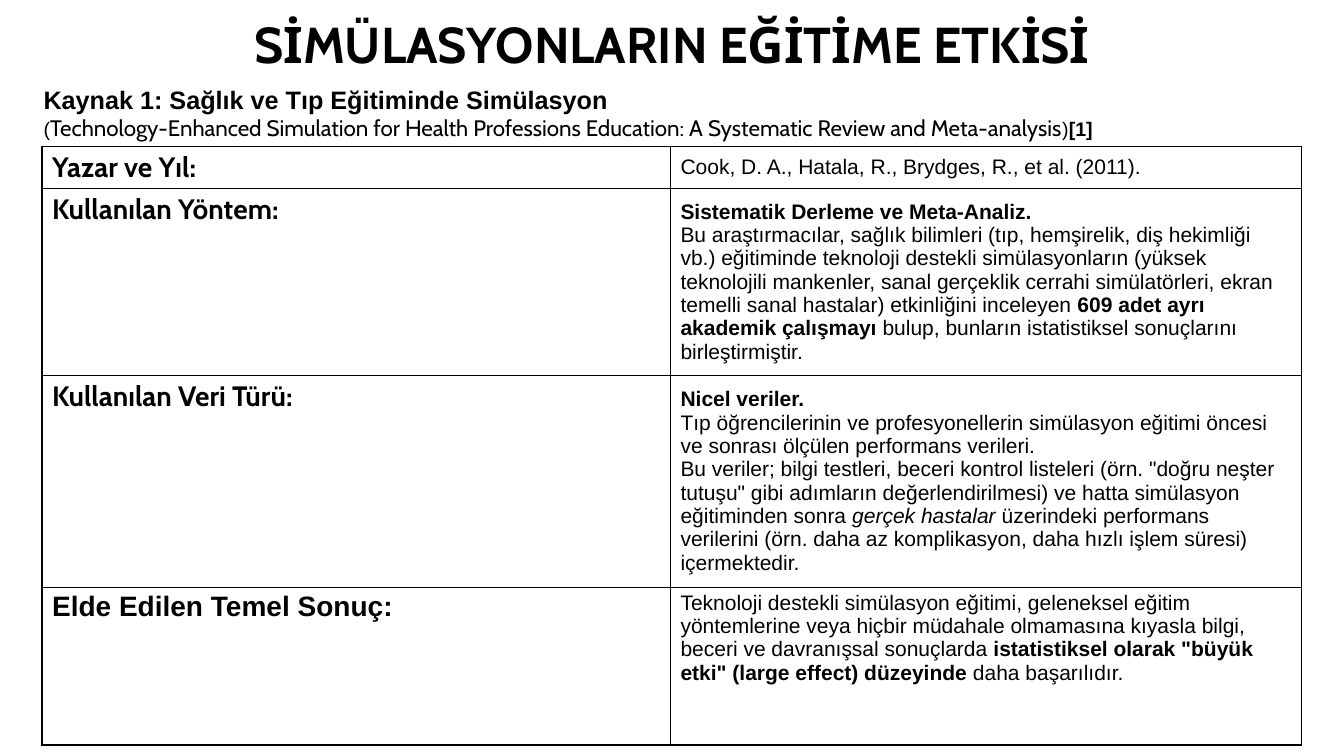
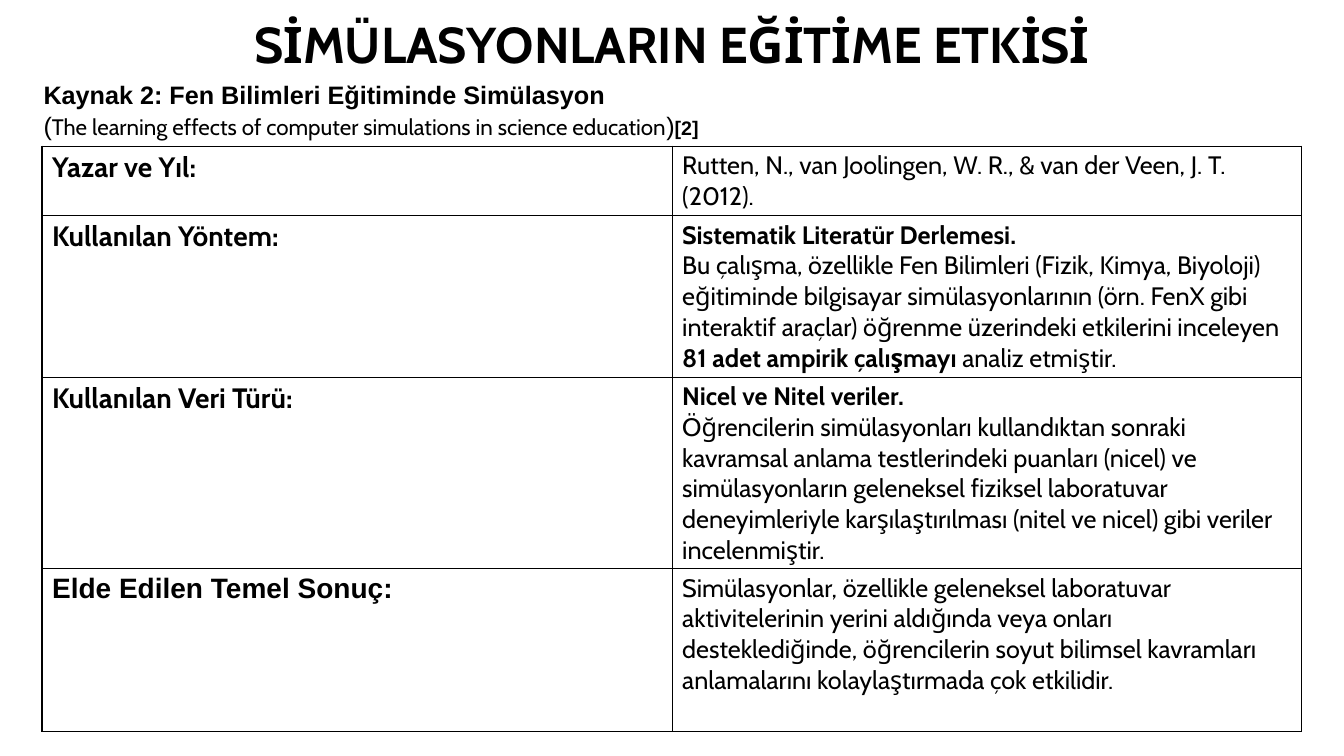
from lxml.etree import SubElement
from pptx import Presentation
from pptx.dml.color import RGBColor
from pptx.enum.text import MSO_ANCHOR, PP_ALIGN
from pptx.oxml.ns import qn
from pptx.util import Inches, Pt

# Shared look: the slide is a grid of 160 columns by 90 rows
deck = Presentation()
deck.slide_width, deck.slide_height = Inches(13.33), Inches(7.5)
unit = deck.slide_height / 90
hues = {"ink": "000000"}
title = "SİMÜLASYONLARIN EĞİTİME ETKİSİ"

looks = {
    "title": {"name": "Cabin", "size": Pt(36), "bold": True},
    "head": {"name": "Arial", "size": Pt(18), "bold": True},
    "paren": {"name": "Arial", "size": Pt(14), "bold": False},
    "wide": {"name": "Arial", "size": Pt(18), "bold": False},
    "paper": {"name": "Cabin", "size": Pt(16), "bold": False},
    "cite": {"name": "Arial", "size": Pt(14), "bold": True},
    "label": {"name": "Cabin", "size": Pt(20), "bold": True},
    "last": {"name": "Arial", "size": Pt(20), "bold": True},
    "small": {"name": "Arial", "size": Pt(15), "bold": False},
    "big": {"name": "Cabin", "size": Pt(18), "bold": False},
}
for look in ("small", "big"):
    looks[look + " bold"] = looks[look] | {"bold": True}
    looks[look + " slant"] = looks[look] | {"italic": True}

labels = [
    ("Yazar ve Yıl:", "label"),
    ("Kullanılan Yöntem:", "label"),
    ("Kullanılan Veri Türü:", "label"),
    ("Elde Edilen Temel Sonuç:", "last"),
]

# Each cell is a list of paragraphs, each paragraph a list of (text, look)
pages = [
    {
        "top": 9.4,
        "cols": [74.8, 75.1],
        "rows": [5, 22.3, 25.2, 18.8],
        "lead": [
            [("Kaynak 1: Sağlık ve Tıp Eğitiminde Simülasyon", "head")],
            [("(", "paren"),
             ("Technology-Enhanced Simulation for Health Professions Education: "
              "A Systematic Review and Meta-analysis", "paper"),
             (")", "paren"), ("[1]", "cite")],
        ],
        "cells": [
            [[("Cook, D. A., Hatala, R., Brydges, R., et al. (2011).", "small")]],
            [[("Sistematik Derleme ve Meta-Analiz.", "small bold")],
             [("Bu araştırmacılar, sağlık bilimleri (tıp, hemşirelik, diş hekimliği vb.) "
               "eğitiminde teknoloji destekli simülasyonların (yüksek teknolojili mankenler, "
               "sanal gerçeklik cerrahi simülatörleri, ekran temelli sanal hastalar) "
               "etkinliğini inceleyen ", "small"),
              ("609 adet ayrı akademik çalışmayı", "small bold"),
              (" bulup, bunların istatistiksel sonuçlarını birleştirmiştir.", "small")]],
            [[("Nicel veriler.", "small bold")],
             [("Tıp öğrencilerinin ve profesyonellerin simülasyon eğitimi öncesi ve "
               "sonrası ölçülen performans verileri.", "small")],
             [("Bu veriler; bilgi testleri, beceri kontrol listeleri (örn. \"doğru neşter "
               "tutuşu\" gibi adımların değerlendirilmesi) ve hatta simülasyon "
               "eğitiminden sonra ", "small"),
              ("gerçek hastalar", "small slant"),
              (" üzerindeki performans verilerini (örn. daha az komplikasyon, daha hızlı "
               "işlem süresi) içermektedir.", "small")]],
            [[("Teknoloji destekli simülasyon eğitimi, geleneksel eğitim yöntemlerine veya "
               "hiçbir müdahale olmamasına kıyasla bilgi, beceri ve davranışsal "
               "sonuçlarda ", "small"),
              ("istatistiksel olarak \"büyük etki\" (large effect) düzeyinde", "small bold"),
              (" daha başarılıdır.", "small")]],
        ],
    },
    {
        "top": 8.9,
        "cols": [75, 74.9],
        "rows": [8.3, 19.2, 22.8, 19.4],
        "lead": [
            [("Kaynak 2: Fen Bilimleri Eğitiminde Simülasyon", "head")],
            [("(", "wide"),
             ("The learning effects of computer simulations in science education", "paper"),
             (")", "wide"), ("[2]", "cite")],
        ],
        "cells": [
            [[("Rutten, N., van Joolingen, W. R., & van der Veen, J. T. (2012).", "big")]],
            [[("Sistematik Literatür Derlemesi.", "big bold")],
             [("Bu çalışma, özellikle Fen Bilimleri (Fizik, Kimya, Biyoloji) eğitiminde "
               "bilgisayar simülasyonlarının (örn. FenX gibi interaktif araçlar) öğrenme "
               "üzerindeki etkilerini inceleyen ", "big"),
              ("81 adet ampirik çalışmayı", "big bold"),
              (" analiz etmiştir.", "big")]],
            [[("Nicel ve Nitel veriler.", "big bold")],
             [("Öğrencilerin simülasyonları kullandıktan sonraki kavramsal anlama "
               "testlerindeki puanları (nicel) ve simülasyonların geleneksel fiziksel "
               "laboratuvar deneyimleriyle karşılaştırılması (nitel ve nicel) gibi veriler "
               "incelenmiştir.", "big")]],
            [[("Simülasyonlar, özellikle geleneksel laboratuvar aktivitelerinin yerini "
               "aldığında veya onları desteklediğinde, öğrencilerin soyut bilimsel "
               "kavramları anlamalarını kolaylaştırmada çok etkilidir.", "big")]],
        ],
    },
]


def grid(*spans):
    return [round(span * unit) for span in spans]


def write(frame, paras):
    frame.word_wrap = True
    for i, parts in enumerate(paras):
        para = frame.paragraphs[0] if i == 0 else frame.add_paragraph()
        for text, look in parts:
            run = para.add_run()
            run.text = text
            run.font.color.rgb = RGBColor.from_string(hues["ink"])
            for key, value in looks[look].items():
                setattr(run.font, key, value)


for page in pages:
    slide = deck.slides.add_slide(deck.slide_layouts[5])

    # Title
    head = slide.shapes.title
    head.left, head.top, head.width, head.height = grid(11, 0, 138, 11.2)
    write(head.text_frame, [[(title, "title")]])
    head.text_frame.vertical_anchor = MSO_ANCHOR.MIDDLE
    line = head.text_frame.paragraphs[0]
    line.alignment, line.line_spacing = PP_ALIGN.CENTER, 0.9

    # Source heading, ending where the table starts
    box = slide.shapes.add_textbox(*grid(4, page["top"], 150, 17.4 - page["top"]))
    write(box.text_frame, page["lead"])

    # Table
    area = grid(5, 17.4, sum(page["cols"]), sum(page["rows"]))
    table = slide.shapes.add_table(len(labels), 2, *area).table
    table.first_row = table.horz_banding = False
    for col, span in zip(table.columns, grid(*page["cols"])):
        col.width = span
    for row, span in zip(table.rows, grid(*page["rows"])):
        row.height = span
    for i, (label, body) in enumerate(zip(labels, page["cells"])):
        for j, paras in enumerate(([[label]], body)):
            cell = table.cell(i, j)
            write(cell.text_frame, paras)
            cell.margin_top = cell.margin_bottom = Inches(0.04)
            centred = j == 1 and i < len(labels) - 1
            cell.vertical_anchor = MSO_ANCHOR.MIDDLE if centred else MSO_ANCHOR.TOP
            # Borders come before the fill in the cell's XML
            props = cell._tc.get_or_add_tcPr()
            for side in ("lnL", "lnR", "lnT", "lnB"):
                edge = SubElement(props, qn("a:" + side), w=str(Pt(1)))
                fill = SubElement(edge, qn("a:solidFill"))
                SubElement(fill, qn("a:srgbClr"), val=hues["ink"])
            cell.fill.background()

deck.save("out.pptx")
